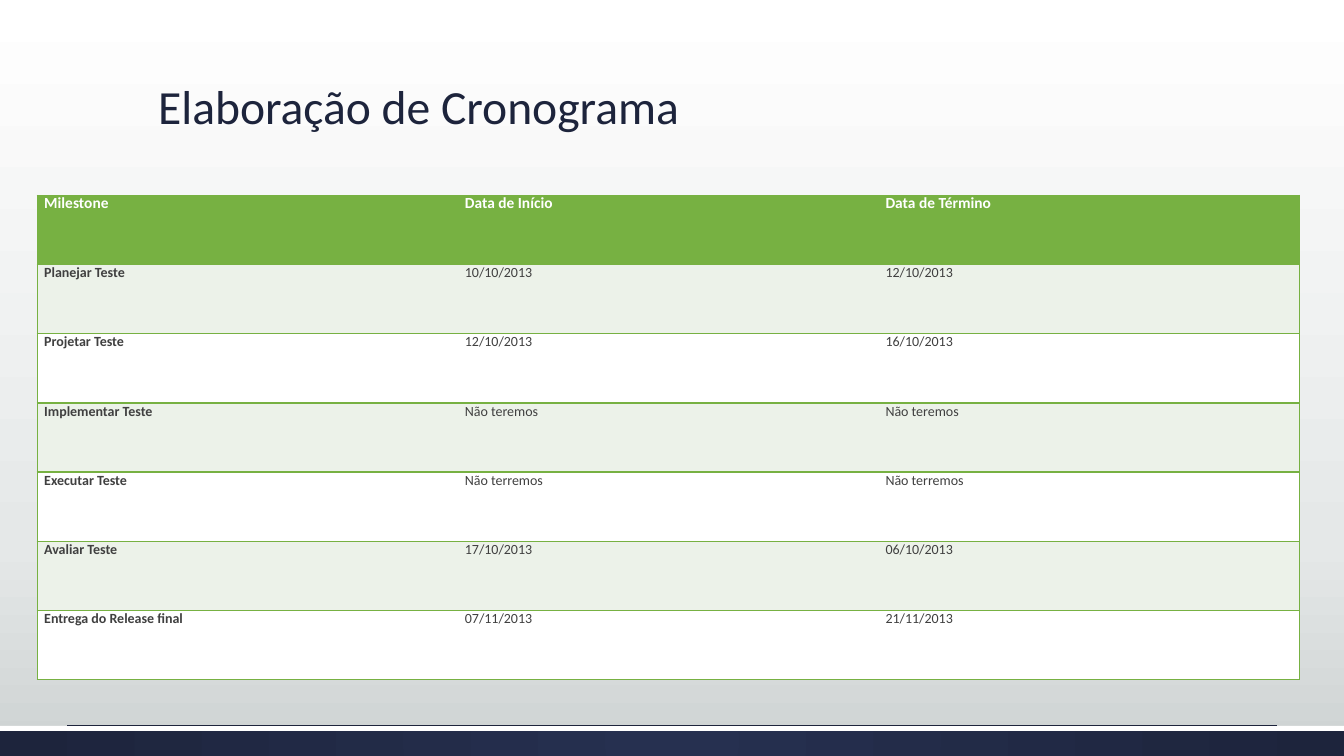
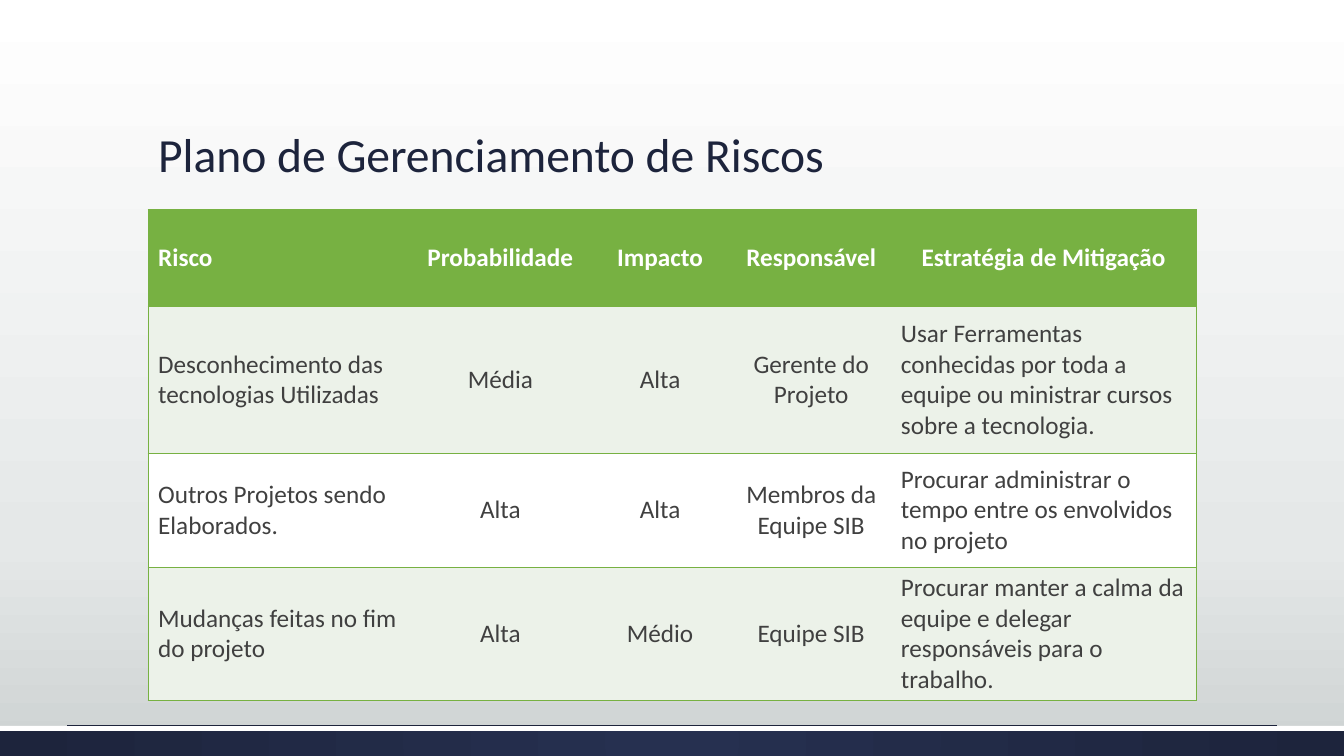
from dataclasses import dataclass

from pptx import Presentation
from pptx.dml.color import RGBColor as Color
from pptx.enum.shapes import MSO_CONNECTOR as Connector, MSO_SHAPE as Preset
from pptx.enum.text import MSO_ANCHOR as Anchor, MSO_AUTO_SIZE as AutoSize, PP_ALIGN as Align
from pptx.oxml import parse_xml
from pptx.oxml.ns import nsdecls, qn
from pptx.util import Pt


@dataclass(frozen=True)
class Theme:
    font: str = "Calibri"
    navy: Color = Color.from_string("1D243C")
    indigo: Color = Color.from_string("263050")
    green: Color = Color.from_string("77B142")
    pale: Color = Color.from_string("ECF2E9")
    white: Color = Color.from_string("FFFFFF")
    mist: Color = Color.from_string("E5E8E8")
    silver: Color = Color.from_string("CDD2D2")
    body: Color = Color.from_string("404040")
    title_size: float = 34
    large_size: float = 18
    header_size: float = 11
    small_size: float = 10
    border: float = 1


THEME = Theme()
WIDTH, HEIGHT = 960, 540
BAND_TOP = 518.4
TITLE_LEFT, TITLE_TOP, TITLE_WIDTH = 105.8, 36.7, 748.8


def write_text(frame, text, size, color, bold=False, align=Align.LEFT, spacing=None):
    paragraph = frame.paragraphs[0]
    paragraph.alignment = align
    if spacing is not None:
        paragraph.line_spacing = spacing
    run = paragraph.add_run()
    run.text = text
    run.font.name = THEME.font
    run.font.size = Pt(size)
    run.font.bold = bold
    run.font.color.rgb = color


def set_gradient(owner, fill, stops, direction):
    fill.gradient()
    gradient = owner.element.find(".//" + qn("a:gradFill"))
    stop_list = "".join(
        f'<a:gs pos="{position * 1000}"><a:srgbClr val="{color}"/></a:gs>'
        for position, color in stops
    )
    gradient.getparent().replace(gradient, parse_xml(
        f'<a:gradFill {nsdecls("a")} rotWithShape="1">'
        f"<a:gsLst>{stop_list}</a:gsLst>{direction}</a:gradFill>"
    ))


def set_borders(cell, left, right):
    sides = {"lnL": left, "lnR": right, "lnT": True, "lnB": True}
    properties = cell._tc.get_or_add_tcPr()
    for index, (side, visible) in enumerate(sides.items()):
        paint = (
            f'<a:solidFill><a:srgbClr val="{THEME.green}"/></a:solidFill>'
            if visible else "<a:noFill/>"
        )
        properties.insert(index, parse_xml(
            f'<a:{side} {nsdecls("a")} w="{Pt(THEME.border)}">{paint}</a:{side}>'
        ))


class Deck:
    def __init__(self):
        self.presentation = Presentation()
        self.presentation.slide_width = Pt(WIDTH)
        self.presentation.slide_height = Pt(HEIGHT)
        master = self.presentation.slide_master
        set_gradient(
            master, master.background.fill,
            [(0, THEME.white), (72, THEME.mist), (100, THEME.silver)],
            '<a:lin ang="5400000" scaled="0"/>',
        )
        self.slide = None

    def add_slide(self, title, title_height):
        self.slide = self.presentation.slides.add_slide(self.presentation.slide_layouts[5])
        self.add_footer()
        self.add_title(title, title_height)

    def add_bar(self, top, height):
        shape = self.slide.shapes.add_shape(
            Preset.RECTANGLE, Pt(0), Pt(top), Pt(WIDTH), Pt(height)
        )
        shape.shadow.inherit = False
        shape.line.fill.background()
        return shape

    def add_footer(self):
        band = self.add_bar(BAND_TOP, HEIGHT - BAND_TOP)
        set_gradient(
            band, band.fill, [(0, THEME.indigo), (100, THEME.navy)],
            '<a:path path="circle"><a:fillToRect l="50000" t="50000" r="50000" b="50000"/></a:path>',
        )
        stripe = self.add_bar(BAND_TOP, 3.6)
        stripe.fill.solid()
        stripe.fill.fore_color.rgb = THEME.white
        self.add_rule(48, WIDTH - 48, 518)

    def add_rule(self, left, right, top):
        rule = self.slide.shapes.add_connector(
            Connector.STRAIGHT, Pt(left), Pt(top), Pt(right), Pt(top)
        )
        rule.line.color.rgb = THEME.navy
        rule.line.width = Pt(0.75)
        rule.element.spPr.append(parse_xml(f'<a:effectLst {nsdecls("a")}/>'))

    def add_title(self, text, height):
        title = self.slide.shapes.title
        title.left, title.top = Pt(TITLE_LEFT), Pt(TITLE_TOP)
        title.width, title.height = Pt(TITLE_WIDTH), Pt(height)
        frame = title.text_frame
        frame.auto_size = AutoSize.NONE
        frame.word_wrap = True
        frame.vertical_anchor = Anchor.BOTTOM
        write_text(frame, text, THEME.title_size, THEME.navy, spacing=0.9)

    def add_table(self, rows, left, top, widths, heights, header_size, body_size,
                  centered=(), bold_first=False, anchor=Anchor.TOP,
                  margins=(7.2, 3.6), spacing=None):
        table = self.slide.shapes.add_table(
            len(rows), len(widths), Pt(left), Pt(top), Pt(sum(widths)), Pt(sum(heights))
        ).table
        for column, width in zip(table.columns, widths):
            column.width = Pt(width)
        for row, height in zip(table.rows, heights):
            row.height = Pt(height)
        last = len(widths) - 1
        for row_index, row in enumerate(rows):
            header = row_index == 0
            banded = THEME.pale if row_index % 2 else THEME.white
            for column_index, text in enumerate(row):
                cell = table.cell(row_index, column_index)
                cell.fill.solid()
                cell.fill.fore_color.rgb = THEME.green if header else banded
                cell.vertical_anchor = anchor
                cell.margin_left = cell.margin_right = Pt(margins[0])
                cell.margin_top = cell.margin_bottom = Pt(margins[1])
                center = column_index in centered or (header and centered and column_index > 0)
                write_text(
                    cell.text_frame, text,
                    size=header_size if header else body_size,
                    color=THEME.white if header else THEME.body,
                    bold=header or (bold_first and column_index == 0),
                    align=Align.CENTER if center else Align.LEFT,
                    spacing=spacing,
                )
                set_borders(cell, left=column_index == 0, right=column_index == last)


def add_schedule(deck):
    rows = [
        ("Milestone", "Data de Início", "Data de Término"),
        ("Planejar Teste", "10/10/2013", "12/10/2013"),
        ("Projetar Teste", "12/10/2013", "16/10/2013"),
        ("Implementar Teste", "Não teremos", "Não teremos"),
        ("Executar Teste", "Não terremos", "Não terremos"),
        ("Avaliar Teste", "17/10/2013", "06/10/2013"),
        ("Entrega do Release final", "07/11/2013", "21/11/2013"),
    ]
    deck.add_slide("Elaboração de Cronograma", 63.4)
    deck.add_table(
        rows, 26.6, 139.7, [300.5] * 3, [49.4] * len(rows),
        THEME.header_size, THEME.small_size,
        bold_first=True, margins=(5, 0), spacing=Pt(12),
    )


def add_risks(deck):
    rows = [
        ("Risco", "Probabilidade", "Impacto", "Responsável", "Estratégia de Mitigação"),
        ("Desconhecimento das tecnologias Utilizadas", "Média", "Alta", "Gerente do Projeto",
         "Usar Ferramentas conhecidas por toda a equipe ou ministrar cursos sobre a tecnologia."),
        ("Outros Projetos sendo Elaborados.", "Alta", "Alta", "Membros da Equipe SIB",
         "Procurar administrar o tempo entre os envolvidos no projeto"),
        ("Mudanças feitas no fim do projeto", "Alta", "Médio", "Equipe SIB",
         "Procurar manter a calma da equipe e delegar responsáveis para o trabalho."),
    ]
    deck.add_slide("Plano de Gerenciamento de Riscos", 97.2)
    deck.add_table(
        rows, TITLE_LEFT, 149.8, [188.6, 126, 102.2, 113.8, 218.2], [69, 105, 81.4, 95],
        THEME.large_size, THEME.large_size,
        centered=(1, 2, 3), anchor=Anchor.MIDDLE,
    )


def main():
    deck = Deck()
    add_schedule(deck)
    add_risks(deck)
    deck.presentation.save("out.pptx")


if __name__ == "__main__":
    main()
